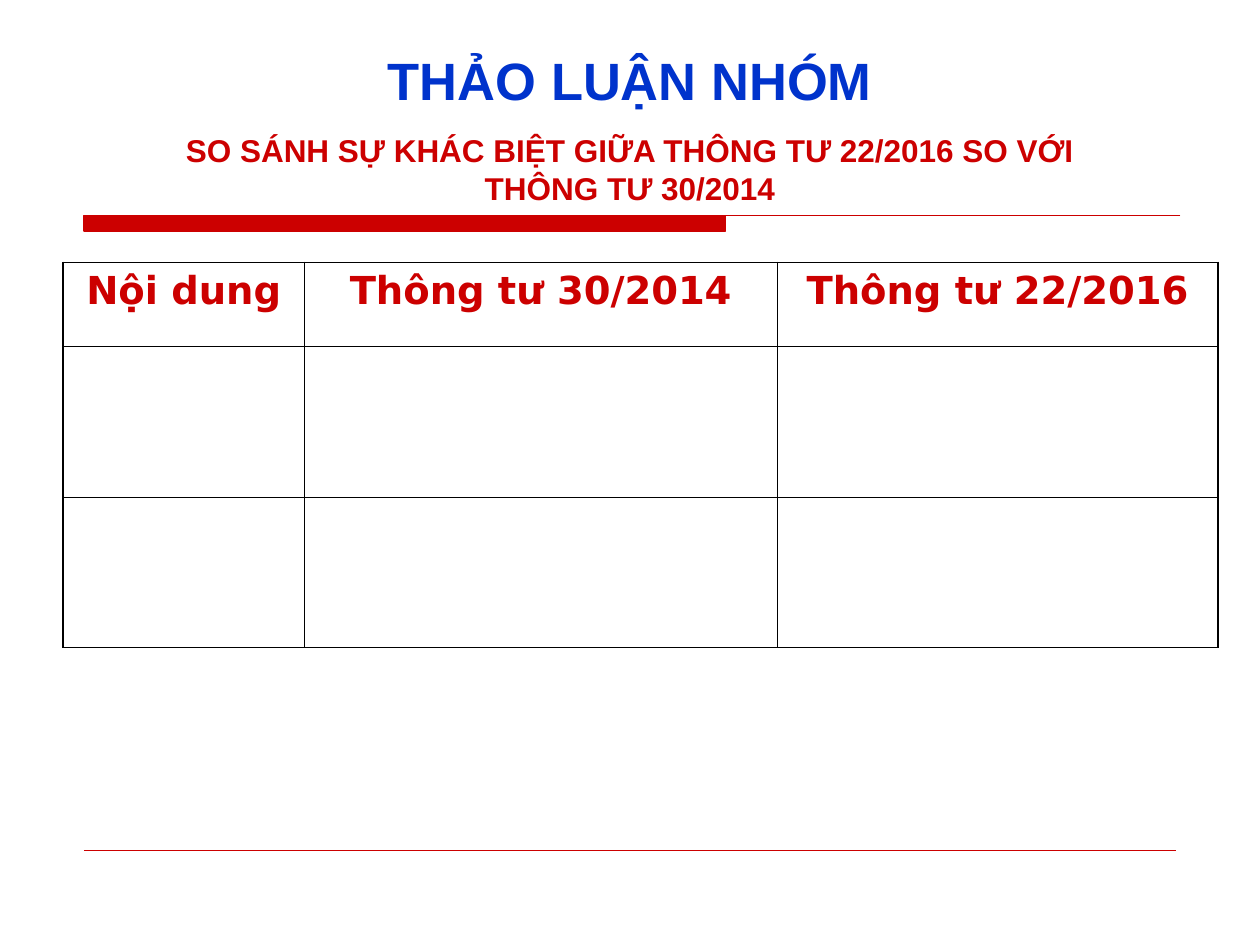
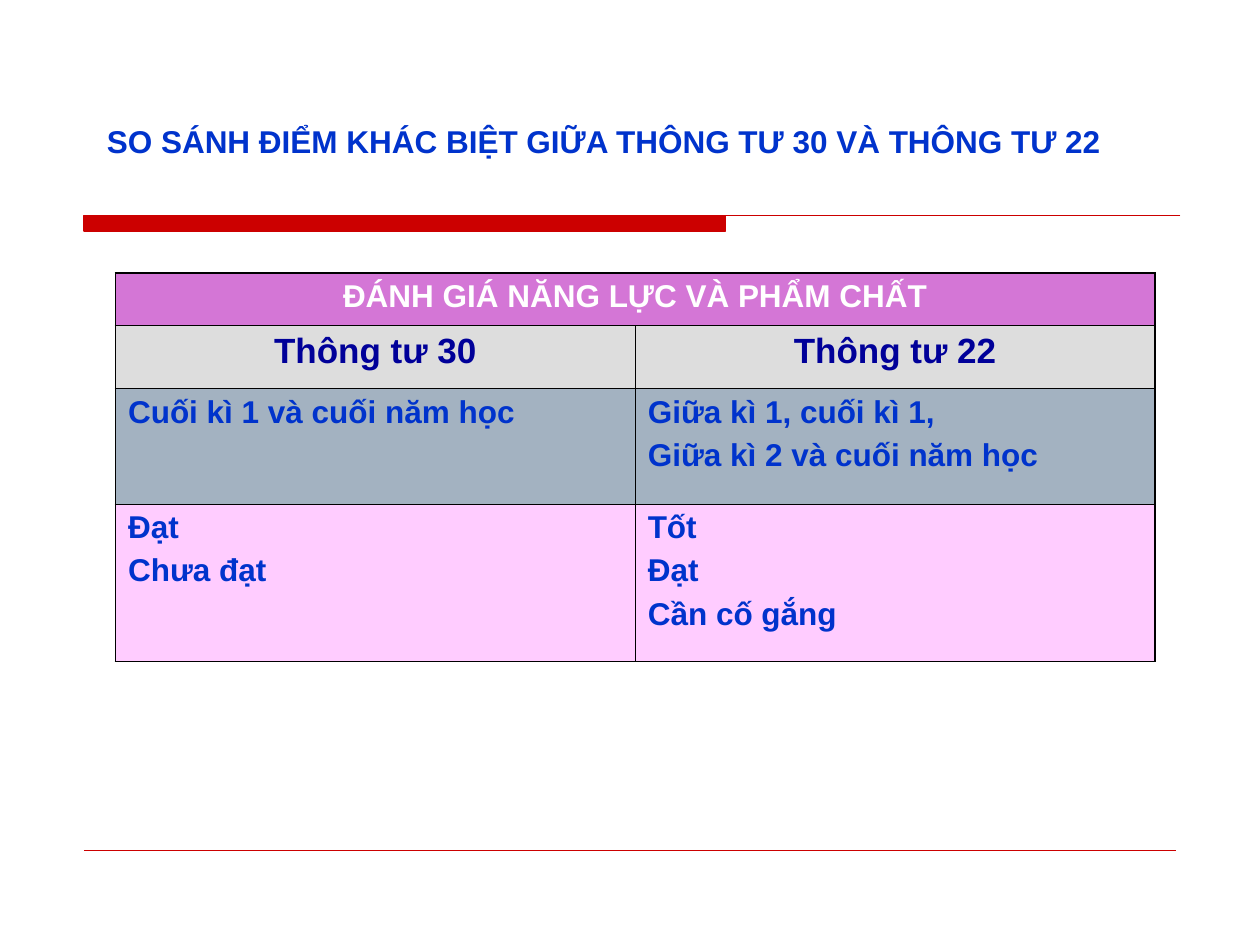
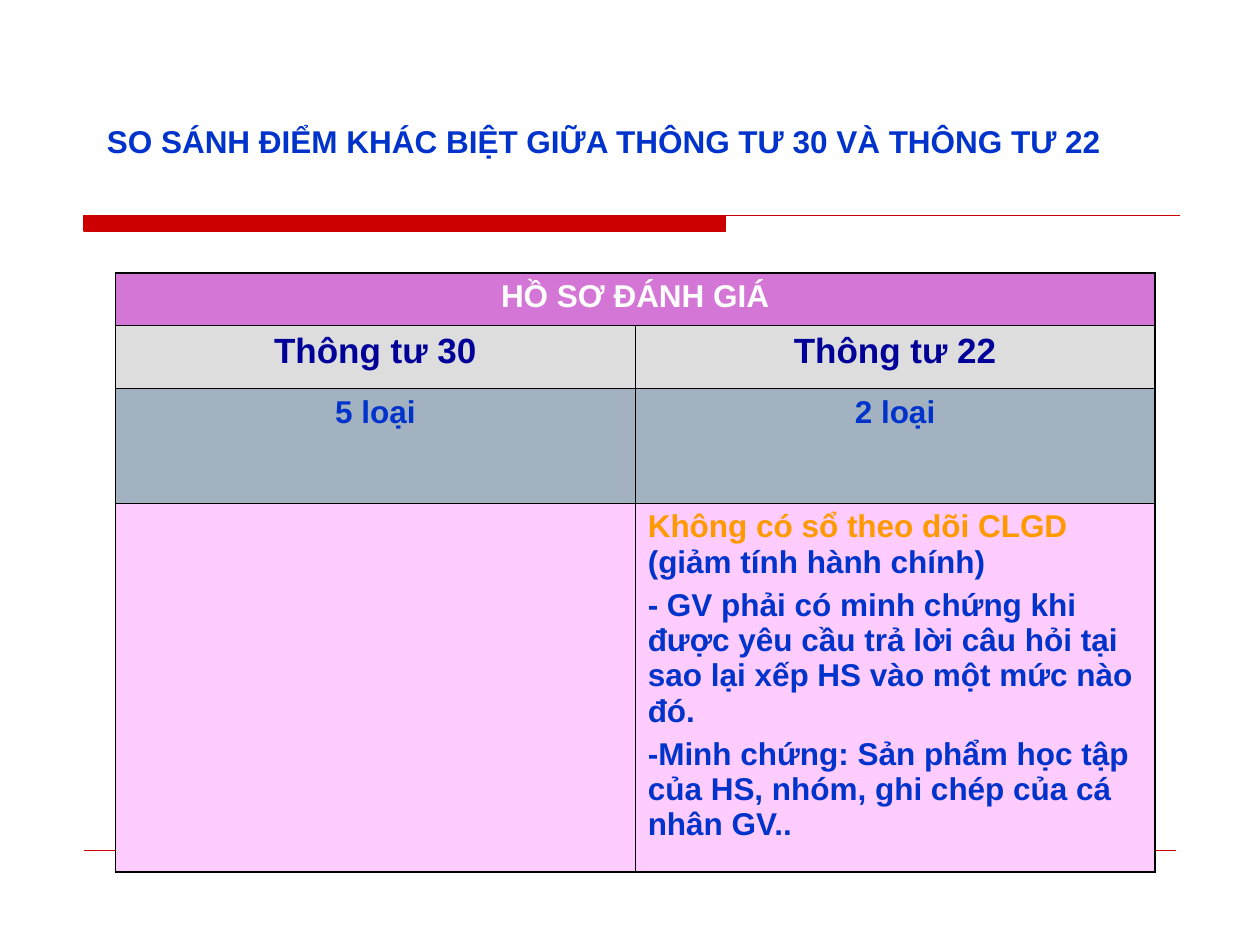
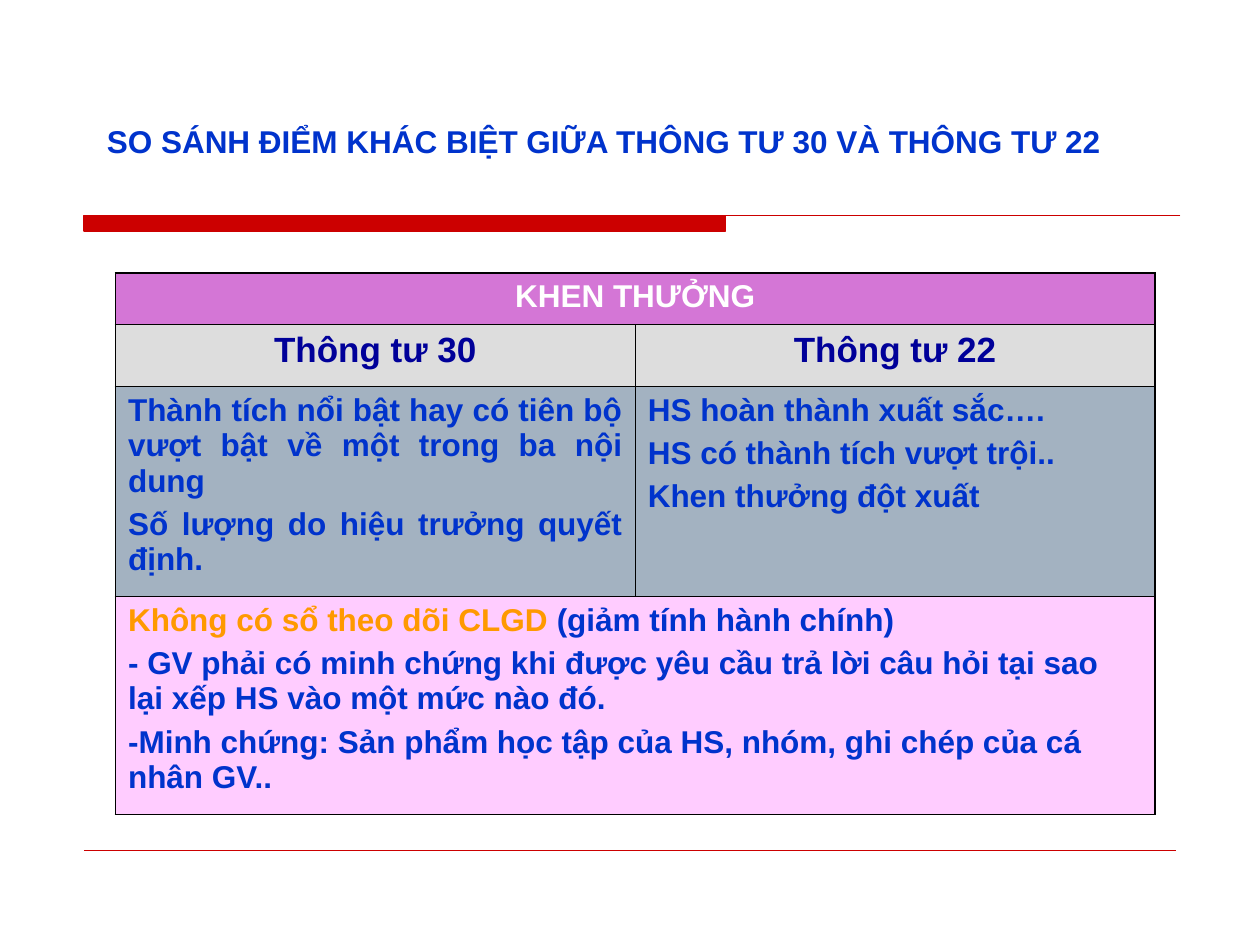
from lxml import etree
from pptx import Presentation
from pptx.dml.color import RGBColor
from pptx.enum.shapes import MSO_CONNECTOR
from pptx.enum.text import MSO_ANCHOR, MSO_AUTO_SIZE, PP_ALIGN
from pptx.oxml.ns import qn
from pptx.util import Pt

LEFT, CENTER, JUSTIFY = PP_ALIGN.LEFT, PP_ALIGN.CENTER, PP_ALIGN.JUSTIFY
TOP = MSO_ANCHOR.TOP
GROW = MSO_AUTO_SIZE.SHAPE_TO_FIT_TEXT
STRAIGHT = MSO_CONNECTOR.STRAIGHT

COLORS = {
    "red": "CC0000", "blue": "0033CC", "navy": "000099", "orange": "FF9900",
    "white": "FFFFFF", "black": "000000", "orchid": "D476D6",
    "silver": "DDDDDD", "slate": "A3B2C1", "pink": "FFCCFF",
}
FONT = "Arial"
GRID_FONT = "DejaVu Sans"
OUTER_BORDER, INNER_BORDER = 1.08, 0.45

HEADING = "SO SÁNH ĐIỂM KHÁC BIỆT GIỮA THÔNG TƯ 30 VÀ THÔNG TƯ 22"
EVIDENCE = [
    [("Không có sổ theo dõi CLGD", "orange"), (" (giảm tính hành chính)", "blue")],
    [("- GV phải có minh chứng khi được yêu cầu trả lời câu hỏi tại sao lại "
      "xếp HS vào một mức nào đó.", "blue")],
    [("-Minh chứng: Sản phẩm học tập của HS, nhóm, ghi chép của cá nhân GV..", "blue")],
]


def rgb(color):
    """Return the named palette colour."""
    return RGBColor.from_string(COLORS[color])


def lines(color, *texts):
    """Turn plain lines into paragraphs of one coloured run each."""
    return [[(text, color)] for text in texts]


def write_paragraph(paragraph, runs, size, align, before, font=FONT):
    """Fill one paragraph with bold coloured runs."""
    paragraph.alignment = align
    paragraph.space_before = Pt(before)
    for text, color in runs:
        run = paragraph.add_run()
        run.text = text
        run.font.name = font
        run.font.size = Pt(size)
        run.font.bold = True
        run.font.color.rgb = rgb(color)


def write_cell(cell, paragraphs, size, align=LEFT, font=FONT):
    """Write paragraphs in a cell, spaced by a quarter of the text size."""
    frame = cell.text_frame
    for index, runs in enumerate(paragraphs):
        paragraph = frame.add_paragraph() if index else frame.paragraphs[0]
        write_paragraph(paragraph, runs, size, align, size / 4, font)


def add_text_block(slide, box, paragraphs):
    """Place a text block of (runs, size, alignment, space before) entries."""
    block = slide.shapes.add_textbox(*map(Pt, box))
    frame = block.text_frame
    frame.word_wrap = True
    frame.vertical_anchor = TOP
    frame.auto_size = GROW
    for index, (runs, size, align, before) in enumerate(paragraphs):
        paragraph = frame.add_paragraph() if index else frame.paragraphs[0]
        write_paragraph(paragraph, runs, size, align, before)


def add_title_band(slide, box, thick_width):
    """Draw the band under the title: a thick bar that ends in a thin rule."""
    left, top, width, height = box
    outline = slide.shapes.build_freeform(Pt(left), Pt(top))
    outline.add_line_segments([
        (Pt(left + thick_width), Pt(top)),
        (Pt(left + thick_width), Pt(top + height)),
        (Pt(left), Pt(top + height)),
    ])
    outline.move_to(Pt(left), Pt(top))
    outline.add_line_segments([(Pt(left + width), Pt(top))], close=False)
    band = outline.convert_to_shape()
    band.shadow.inherit = False
    band.fill.solid()
    band.fill.fore_color.rgb = rgb("red")
    band.line.color.rgb = rgb("red")
    band.line.width = Pt(0.75)


def add_footer_rule(slide, left, top, width):
    """Draw the hairline at the foot of the slide."""
    rule = slide.shapes.add_connector(
        STRAIGHT, Pt(left), Pt(top), Pt(left + width), Pt(top))
    rule.line.color.rgb = rgb("red")
    rule.line.width = Pt(0.25)
    etree.SubElement(rule._element.spPr, qn("a:effectLst"))


def add_base_slide(deck):
    """Add a blank slide with the shared band and footer rule."""
    slide = deck.slides.add_slide(deck.slide_layouts[6])
    add_title_band(slide, (48, 123, 626.5, 9), 366.5)
    add_footer_rule(slide, 48, 486, 624)
    return slide


def set_borders(cell, widths):
    """Give a cell black borders of the widths for left, right, top, bottom."""
    properties = cell._tc.get_or_add_tcPr()
    for index, (side, width) in enumerate(zip("LRTB", widths)):
        border = etree.Element(qn(f"a:ln{side}"), w=str(Pt(width)))
        fill = etree.SubElement(border, qn("a:solidFill"))
        etree.SubElement(fill, qn("a:srgbClr"), val=COLORS["black"])
        properties.insert(index, border)


def add_table(slide, box, columns, rows, fills, merged_rows=()):
    """Add a table with row fills and a border heavier outside than inside."""
    left, top = box
    frame = slide.shapes.add_table(
        len(rows), len(columns), Pt(left), Pt(top), Pt(sum(columns)), Pt(sum(rows)))
    table = frame.table
    table.first_row = table.horz_banding = False
    for column, width in zip(table.columns, columns):
        column.width = Pt(width)
    for row, height in zip(table.rows, rows):
        row.height = Pt(height)
    for row in merged_rows:
        table.cell(row, 0).merge(table.cell(row, len(columns) - 1))
    for r, color in enumerate(fills):
        for c in range(len(columns)):
            cell = table.cell(r, c)
            if color:
                cell.fill.solid()
                cell.fill.fore_color.rgb = rgb(color)
            else:
                cell.fill.background()
            last_column = c + cell.span_width == len(columns)
            at_edge = (c == 0, last_column, r == 0, r == len(rows) - 1)
            set_borders(cell, [OUTER_BORDER if e else INNER_BORDER for e in at_edge])
    return table


def add_discussion_slide(deck):
    """Build the group discussion slide with its empty grid."""
    slide = add_base_slide(deck)
    subtitle = ("SO SÁNH SỰ KHÁC BIỆT GIỮA THÔNG TƯ 22/2016 SO VỚI "
                "THÔNG TƯ 30/2014")
    add_text_block(slide, (90, 24, 540, 98), [
        ([("THẢO LUẬN NHÓM", "blue")], 30, CENTER, 18.7),
        ([(subtitle, "red")], 18, CENTER, 11.2),
    ])
    grid = add_table(slide, (36, 150), (138, 270, 252), (48, 86, 86), [None] * 3)
    for column, label in enumerate(("Nội dung", "Thông tư 30/2014", "Thông tư 22/2016")):
        write_cell(grid.cell(0, column), lines("red", label), 22, CENTER, GRID_FONT)


def add_comparison_slide(deck, topic, rows, body, merged_rows=(0,)):
    """Build a comparison slide; body maps cells to (paragraphs, alignment)."""
    slide = add_base_slide(deck)
    comparison = add_table(slide, (66, 156), (297, 297), rows,
                           ("orchid", "silver", "slate", "pink"), merged_rows)
    write_cell(comparison.cell(0, 0), lines("white", topic), 18, CENTER)
    for column, circular in enumerate(("Thông tư 30", "Thông tư 22")):
        write_cell(comparison.cell(1, column), lines("navy", circular), 20, CENTER)
    for (row, column), (paragraphs, align) in body.items():
        write_cell(comparison.cell(row, column), paragraphs, 18, align)
    add_text_block(slide, (54, 66, 618, 29), [([(HEADING, "blue")], 18, LEFT, 11.2)])


def main():
    """Build the four slides and save the deck."""
    deck = Presentation()
    deck.slide_width, deck.slide_height = Pt(720), Pt(540)
    add_discussion_slide(deck)
    add_comparison_slide(deck, "ĐÁNH GIÁ NĂNG LỰC VÀ PHẨM CHẤT", (30, 36, 66, 90), {
        (2, 0): (lines("blue", "Cuối kì 1 và cuối năm học"), JUSTIFY),
        (2, 1): (lines("blue", "Giữa kì 1, cuối kì 1, ",
                       "Giữa kì 2 và cuối năm học"), JUSTIFY),
        (3, 0): (lines("blue", "Đạt", "Chưa đạt"), LEFT),
        (3, 1): (lines("blue", "Tốt", "Đạt", "Cần cố gắng"), LEFT),
    })
    add_comparison_slide(deck, "HỒ SƠ ĐÁNH GIÁ", (30, 36, 65.5, 211), {
        (2, 0): (lines("blue", "5 loại"), CENTER),
        (2, 1): (lines("blue", "2 loại"), CENTER),
        (3, 1): (EVIDENCE, LEFT),
    })
    add_comparison_slide(deck, "KHEN THƯỞNG", (29.5, 35.5, 120, 124.5), {
        (2, 0): (lines("blue", "Thành tích nổi bật hay có tiên bộ vượt bật về "
                       "một trong ba nội dung",
                       "Số lượng do hiệu trưởng quyết định."), JUSTIFY),
        (2, 1): (lines("blue", "HS hoàn thành xuất sắc….",
                       "HS có thành tích vượt trội..", "Khen thưởng đột xuất"), LEFT),
        (3, 0): (EVIDENCE, LEFT),
    }, merged_rows=(0, 3))
    deck.save("out.pptx")


if __name__ == "__main__":
    main()
